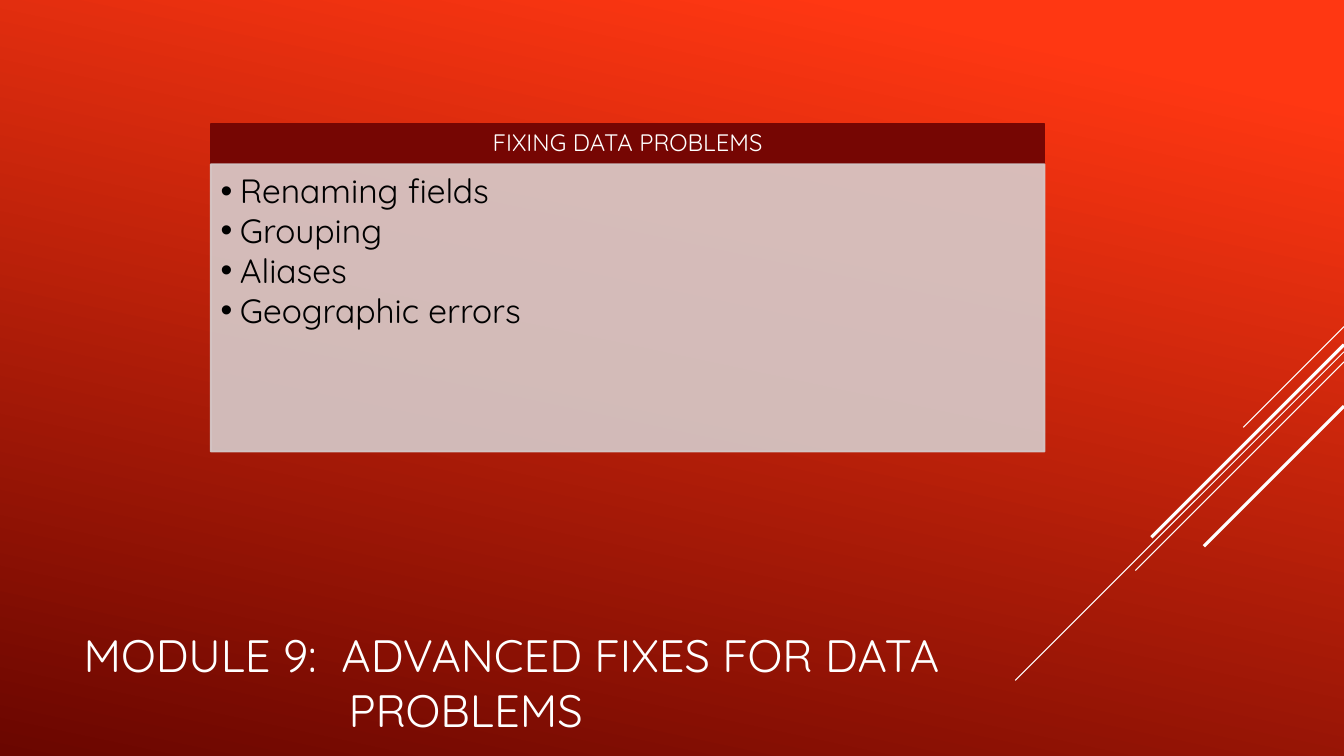
from dataclasses import dataclass

from lxml import etree
from pptx import Presentation
from pptx.dml.color import RGBColor
from pptx.enum.shapes import MSO_CONNECTOR, MSO_SHAPE
from pptx.enum.text import MSO_ANCHOR, PP_ALIGN
from pptx.oxml.ns import qn
from pptx.util import Inches, Pt

STRAIGHT = MSO_CONNECTOR.STRAIGHT
RECTANGLE = MSO_SHAPE.RECTANGLE
LEFT, CENTER = PP_ALIGN.LEFT, PP_ALIGN.CENTER
TOP, MIDDLE = MSO_ANCHOR.TOP, MSO_ANCHOR.MIDDLE


@dataclass(frozen=True)
class Theme:
    font: str = "Quicksand"
    white: str = "FFFFFF"
    black: str = "000000"
    glow: str = "FF3712"
    dark: str = "6A0600"
    header: str = "760603"
    panel: str = "D6CCCC"
    panel_opacity: int = 90
    title_size: float = 32.4
    header_size: float = 17
    body_size: float = 24
    border: float = 1.25
    thin: float = 0.75
    thick: float = 2.25


THEME = Theme()
SLIDE_WIDTH, SLIDE_HEIGHT = 13.33, 7.5
TITLE = "MODULE 9:  ADVANCED FIXES FOR DATA PROBLEMS"
HEADING = "FIXING DATA PROBLEMS"
TOPICS = ["Renaming fields", "Grouping", "Aliases", "Geographic errors"]
# Each diagonal: height at the right edge, horizontal run, weight
DIAGONALS = [
    (3.24, 1.0, THEME.thin),
    (3.49, 3.26, THEME.thin),
    (3.59, 2.07, THEME.thin),
    (3.42, 1.91, THEME.thick),
    (4.03, 1.39, THEME.thick),
]


def color(value):
    return RGBColor.from_string(value)


def write_text(shape, lines, size, ink, align=LEFT, anchor=TOP,
               insets=(0.1, 0.05, 0.1, 0.05), hanging=0, bullet=None,
               line_spacing=None, space_after=0):
    frame = shape.text_frame
    frame.word_wrap = True
    frame.vertical_anchor = anchor
    (frame.margin_left, frame.margin_top,
     frame.margin_right, frame.margin_bottom) = map(Inches, insets)
    for index, line in enumerate(lines):
        para = frame.add_paragraph() if index else frame.paragraphs[0]
        para.alignment = align
        para.line_spacing = line_spacing
        para.space_after = Pt(space_after)
        span = para.add_run()
        span.text = line
        span.font.name = THEME.font
        span.font.size = Pt(size)
        span.font.color.rgb = color(ink)
        properties = para._p.get_or_add_pPr()
        if hanging:
            properties.set("marL", str(Inches(hanging)))
            properties.set("indent", str(-Inches(hanging)))
        if bullet:
            etree.SubElement(properties, qn("a:buFont")).set("typeface", "Arial")
            etree.SubElement(properties, qn("a:buChar")).set("char", bullet)


def add_panel(page, box, fill, opacity=100):
    panel = page.shapes.add_shape(RECTANGLE, *map(Inches, box))
    panel.shadow.inherit = False
    panel.fill.solid()
    panel.fill.fore_color.rgb = color(fill)
    panel.line.color.rgb = color(fill)
    panel.line.width = Pt(THEME.border)
    if opacity < 100:
        for tint in panel._element.spPr.iter(qn("a:srgbClr")):
            etree.SubElement(tint, qn("a:alpha")).set("val", str(opacity * 1000))
    return panel


def paint_background(page):
    fill = page.background.fill
    fill.gradient()
    fill.gradient_angle = 258
    stops = zip(fill.gradient_stops, [(0.1, THEME.glow), (1, THEME.dark)])
    for stop, (position, shade) in stops:
        stop.position = position
        stop.color.rgb = color(shade)


def draw_diagonals(page, right):
    """Draw 45-degree lines falling leftwards from the given right edge."""
    for top, run, weight in DIAGONALS:
        ends = (right, top, right - run, top + run)
        line = page.shapes.add_connector(STRAIGHT, *map(Inches, ends))
        line.line.color.rgb = color(THEME.white)
        line.line.width = Pt(weight)
        etree.SubElement(line._element.spPr, qn("a:effectLst"))


def draw_title(page, box):
    title = page.shapes.add_textbox(*map(Inches, box))
    write_text(title, [TITLE], THEME.title_size, THEME.white,
               anchor=MIDDLE, hanging=2.63)


def draw_topic_card(page, box, header_height=0.4):
    left, top, width, height = box
    header = add_panel(page, (left, top, width, header_height), THEME.header)
    write_text(header, [HEADING], THEME.header_size, THEME.white,
               align=CENTER, anchor=MIDDLE, line_spacing=0.9,
               insets=(0.13, 0.08, 0.13, 0.08))
    body_box = (left, top + header_height, width, height - header_height)
    body = add_panel(page, body_box, THEME.panel, THEME.panel_opacity)
    write_text(body, TOPICS, THEME.body_size, THEME.black,
               insets=(0.1, 0.1, 0.13, 0.15), hanging=0.19, bullet="•",
               line_spacing=0.9, space_after=2.6)


def main():
    deck = Presentation()
    deck.slide_width = Inches(SLIDE_WIDTH)
    deck.slide_height = Inches(SLIDE_HEIGHT)
    page = deck.slides.add_slide(deck.slide_layouts[6])
    paint_background(page)
    draw_diagonals(page, SLIDE_WIDTH)
    draw_title(page, (0.73, 6.29, 10.21, 0.95))
    draw_topic_card(page, (2.09, 1.23, 8.27, 3.25))
    deck.save("out.pptx")


if __name__ == "__main__":
    main()
